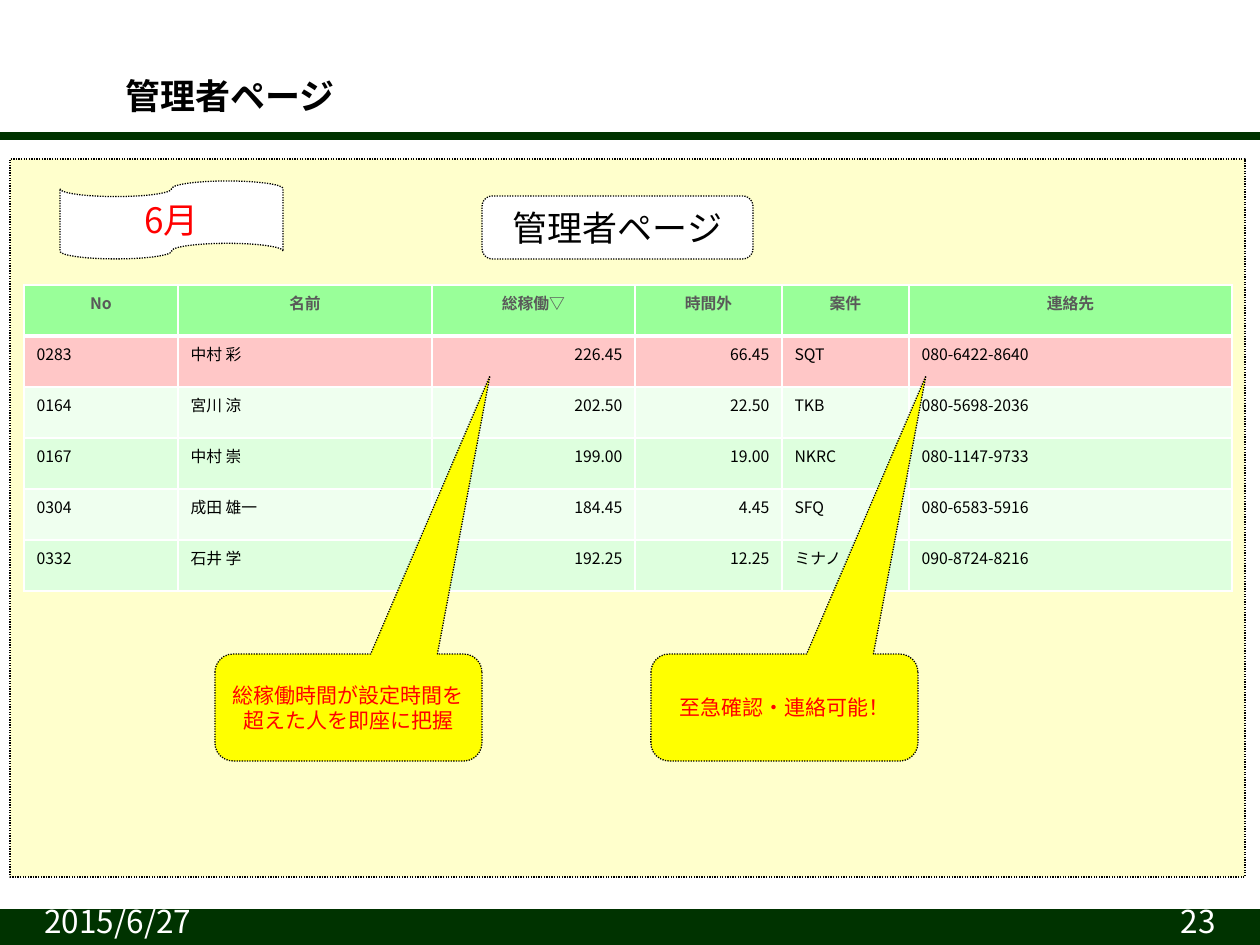
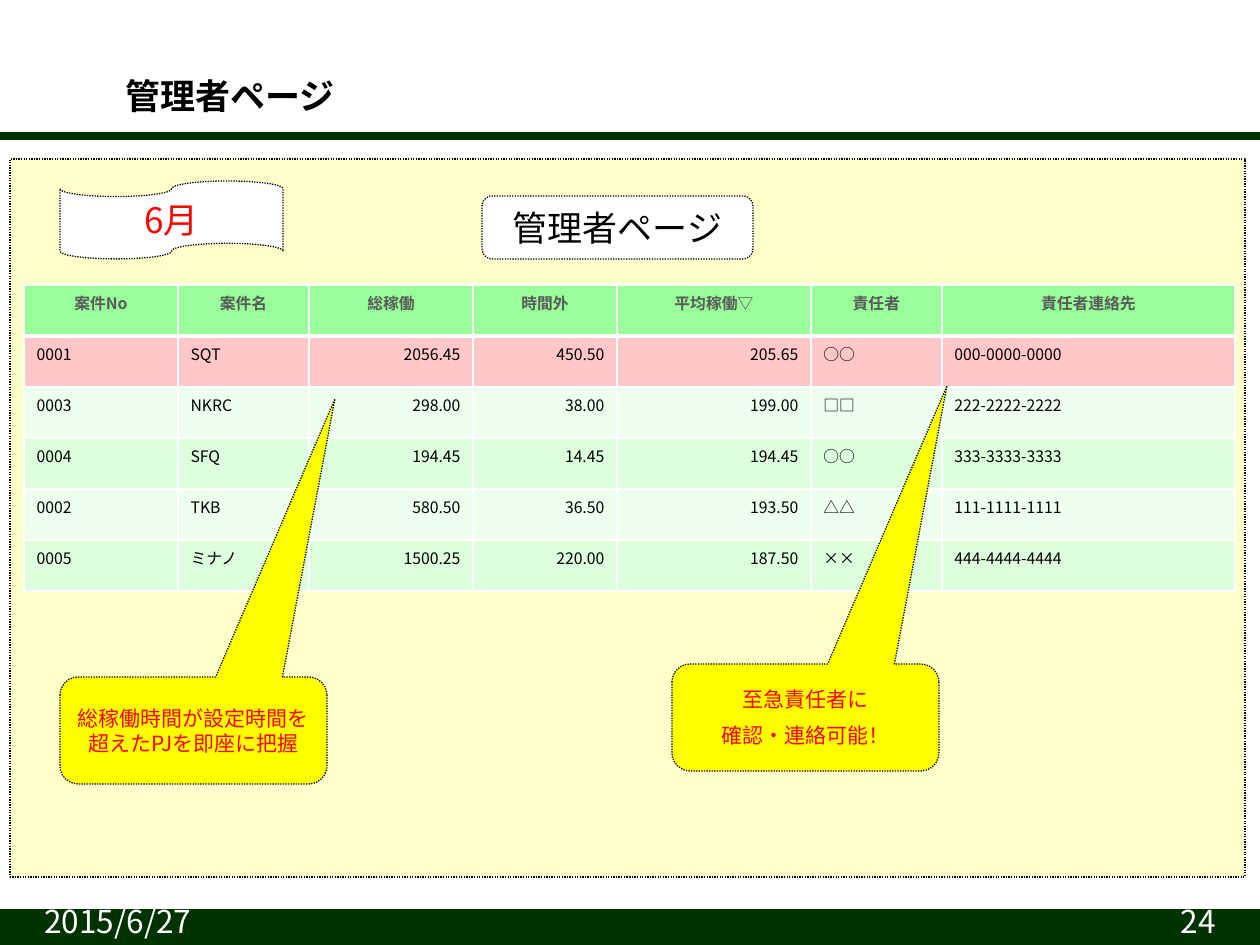
"""Builds two administrator-page slides with monthly workload tables."""
from dataclasses import dataclass

from lxml.etree import SubElement
from pptx import Presentation
from pptx.dml.color import RGBColor
from pptx.enum.dml import MSO_LINE
from pptx.enum.shapes import MSO_CONNECTOR, MSO_SHAPE
from pptx.enum.text import MSO_ANCHOR, PP_ALIGN
from pptx.oxml import parse_xml
from pptx.oxml.ns import nsdecls, qn
from pptx.util import Pt


@dataclass(frozen=True)
class Theme:
    font: str = "Noto Sans CJK JP"
    band: str = "003300"
    panel: str = "FFFFCC"
    white: str = "FFFFFF"
    ink: str = "000000"
    alert: str = "FF0000"
    callout: str = "FFFF00"
    head_fill: str = "99FF99"
    head_ink: str = "595959"
    over_limit: str = "FFC7C7"
    stripes: tuple = ("EFFFEF", "DEFFDE")
    title_size: int = 20
    footer_size: int = 18
    callout_size: int = 12
    table_size: int = 9
    rule_width: float = 4.5
    outline_width: float = 0.75
    border_width: int = 1
    head_border_width: int = 3


THEME = Theme()
WIDTH, HEIGHT = 1260, 945
TITLE = "管理者ページ"
MONTH = "6月"
DATE = "2015/6/27"
FIRST_NUMBER = 23

TITLE_BOX = (113, 64, 1120, 63)
BAND = (0, 917, WIDTH, 28)
RULES = (136, 913)
FOOTER_LEFTS = (32, 966)
FOOTER_TOP, FOOTER_WIDTH, FOOTER_HEIGHT = 915, 262, 31
PANEL = (10, 159, 1235, 718)
HEADING_BOX = (482, 196, 271, 63)
MONTH_BOX = (60, 181, 223, 78)
TABLE_LEFT, TABLE_TOP, ROW_HEIGHT = 24, 285, 51
CALLOUT_SIZE = (267, 107)
CALLOUT_TIP = (0.53, -3.1, 0.17)

PAGES = [
    {
        "columns": [("No", 154), ("名前", 254), ("総稼働▽", 203), ("時間外", 147),
                    ("案件", 127), ("連絡先", 323)],
        "records": [
            ("0283", "中村 彩", "226.45", "66.45", "SQT", "080-6422-8640"),
            ("0164", "宮川 涼", "202.50", "22.50", "TKB", "080-5698-2036"),
            ("0167", "中村 崇", "199.00", "19.00", "NKRC", "080-1147-9733"),
            ("0304", "成田 雄一", "184.45", "4.45", "SFQ", "080-6583-5916"),
            ("0332", "石井 学", "192.25", "12.25", "ミナノ", "090-8724-8216"),
        ],
        "callouts": [
            ((215, 654), "総稼働時間が設定時間を超えた人を即座に把握"),
            ((651, 654), "至急確認・連絡可能！"),
        ],
    },
    {
        "columns": [("案件No", 154), ("案件名", 131), ("総稼働", 164), ("時間外", 144),
                    ("平均稼働▽", 194), ("責任者", 131), ("責任者連絡先", 293)],
        "records": [
            ("0001", "SQT", "2056.45", "450.50", "205.65", "○○", "000-0000-0000"),
            ("0003", "NKRC", "298.00", "38.00", "199.00", "□□", "222-2222-2222"),
            ("0004", "SFQ", "194.45", "14.45", "194.45", "○○", "333-3333-3333"),
            ("0002", "TKB", "580.50", "36.50", "193.50", "△△", "111-1111-1111"),
            ("0005", "ミナノ", "1500.25", "220.00", "187.50", "××", "444-4444-4444"),
        ],
        "callouts": [
            ((60, 677), "総稼働時間が設定時間を超えたPJを即座に把握"),
            ((672, 664), "至急責任者に\n確認・連絡可能！"),
        ],
    },
]


def px(*lengths):
    return [round(length * 914400 / 126) for length in lengths]


def rgb(color):
    return RGBColor.from_string(color)


def write(frame, text, size, color, align=PP_ALIGN.LEFT, bold=False, gap=0):
    frame.text = text
    for paragraph in frame.paragraphs:
        paragraph.alignment = align
        paragraph.space_before = Pt(gap)
        for run in paragraph.runs:
            run.font.size, run.font.bold = Pt(size), bold
            run.font.color.rgb = rgb(color)
            run.font.name = THEME.font
            SubElement(run._r.get_or_add_rPr(), qn("a:ea"), typeface=THEME.font)


def add_box(slide, preset, box, fill, outlined=True):
    shape = slide.shapes.add_shape(preset, *px(*box))
    shape.shadow.inherit = False
    shape.fill.solid()
    shape.fill.fore_color.rgb = rgb(fill)
    if outlined:
        shape.line.color.rgb = rgb(THEME.ink)
        shape.line.width = Pt(THEME.outline_width)
        shape.line.dash_style = MSO_LINE.ROUND_DOT
    else:
        shape.line.fill.background()
    return shape


def add_label(slide, preset, box, fill, text, size, color):
    label = add_box(slide, preset, box, fill)
    write(label.text_frame, text, size, color, PP_ALIGN.CENTER, gap=size / 2)
    return label


def add_text(slide, box, anchor, *style, **options):
    frame = slide.shapes.add_textbox(*px(*box)).text_frame
    frame.word_wrap = True
    frame.vertical_anchor = anchor
    write(frame, *style, **options)
    return frame


def add_title(slide):
    frame = add_text(slide, TITLE_BOX, MSO_ANCHOR.MIDDLE, TITLE,
                     THEME.title_size, THEME.ink, bold=True)
    properties = frame.paragraphs[0].runs[0]._r.get_or_add_rPr()
    properties.find(qn("a:solidFill")).addnext(parse_xml(
        f'<a:effectLst {nsdecls("a")}><a:outerShdw dist="25400" dir="2700000">'
        '<a:srgbClr val="C0C0C0"/></a:outerShdw></a:effectLst>'))


def add_frame(slide, number):
    add_box(slide, MSO_SHAPE.RECTANGLE, BAND, THEME.band, outlined=False)
    for y in RULES:
        rule = slide.shapes.add_connector(MSO_CONNECTOR.STRAIGHT, *px(0, y, WIDTH, y))
        rule.line.color.rgb = rgb(THEME.band)
        rule.line.width = Pt(THEME.rule_width)
        SubElement(rule.element.spPr, qn("a:effectLst"))
    add_box(slide, MSO_SHAPE.RECTANGLE, PANEL, THEME.panel)
    add_title(slide)
    footers = (DATE, PP_ALIGN.LEFT), (str(number), PP_ALIGN.RIGHT)
    for left, (text, align) in zip(FOOTER_LEFTS, footers):
        add_text(slide, (left, FOOTER_TOP, FOOTER_WIDTH, FOOTER_HEIGHT), MSO_ANCHOR.BOTTOM,
                 text, THEME.footer_size, THEME.white, align)


def set_borders(cell, row):
    thin, thick = THEME.border_width, THEME.head_border_width
    widths = {"L": thin, "R": thin,
              "T": thick if row == 1 else thin, "B": thick if row == 0 else thin}
    for side, width in widths.items():
        cell._tc.get_or_add_tcPr().append(parse_xml(
            f'<a:ln{side} {nsdecls("a")} w="{Pt(width)}"><a:solidFill>'
            f'<a:srgbClr val="{THEME.white}"/></a:solidFill></a:ln{side}>'))


def add_workload_table(slide, columns, records):
    headings, widths = zip(*columns)
    rows = [headings, *records]
    table = slide.shapes.add_table(
        len(rows), len(widths),
        *px(TABLE_LEFT, TABLE_TOP, sum(widths), ROW_HEIGHT * len(rows))).table
    for column, width in zip(table.columns, px(*widths)):
        column.width = width
    fills = [THEME.head_fill, THEME.over_limit]
    fills += [THEME.stripes[i % 2] for i in range(len(records) - 1)]
    for r, (values, fill) in enumerate(zip(rows, fills)):
        table.rows[r].height = px(ROW_HEIGHT)[0]
        for c, value in enumerate(values):
            cell = table.cell(r, c)
            set_borders(cell, r)
            cell.fill.solid()
            cell.fill.fore_color.rgb = rgb(fill)
            if r == 0:
                color, align = THEME.head_ink, PP_ALIGN.CENTER
            else:
                color = THEME.ink
                align = PP_ALIGN.RIGHT if "." in value else PP_ALIGN.LEFT
            write(cell.text_frame, value, THEME.table_size, color, align, bold=r == 0)


def add_callout(slide, corner, text):
    callout = add_label(slide, MSO_SHAPE.ROUNDED_RECTANGULAR_CALLOUT, corner + CALLOUT_SIZE,
                        THEME.callout, text, THEME.callout_size, THEME.alert)
    for i, value in enumerate(CALLOUT_TIP):
        callout.adjustments[i] = value


def build_page(slide, page, number):
    add_frame(slide, number)
    add_workload_table(slide, page["columns"], page["records"])
    add_label(slide, MSO_SHAPE.ROUNDED_RECTANGLE, HEADING_BOX, THEME.white,
              TITLE, THEME.title_size, THEME.ink)
    for corner, text in page["callouts"]:
        add_callout(slide, corner, text)
    add_label(slide, MSO_SHAPE.FLOWCHART_PUNCHED_TAPE, MONTH_BOX, THEME.white,
              MONTH, THEME.title_size, THEME.alert)


def main():
    deck = Presentation()
    deck.slide_width, deck.slide_height = px(WIDTH, HEIGHT)
    for number, page in enumerate(PAGES, FIRST_NUMBER):
        build_page(deck.slides.add_slide(deck.slide_layouts[6]), page, number)
    deck.save("out.pptx")


if __name__ == "__main__":
    main()
